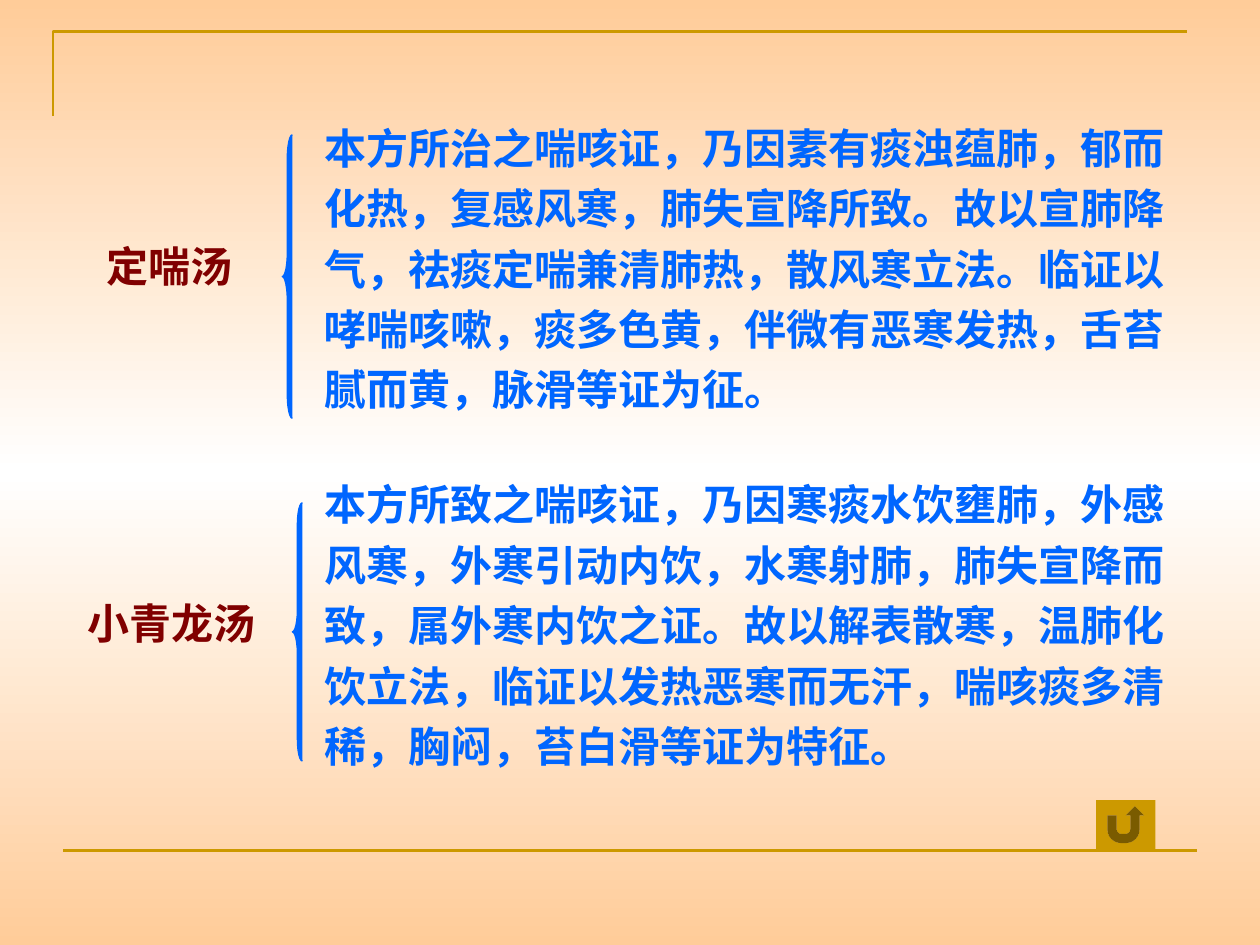
from lxml import etree
from pptx import Presentation
from pptx.dml.color import RGBColor
from pptx.enum.shapes import MSO_CONNECTOR as Connector, MSO_SHAPE as Preset
from pptx.enum.text import MSO_AUTO_SIZE as AutoSize
from pptx.oxml import parse_xml
from pptx.oxml.ns import nsdecls, qn
from pptx.util import Inches, Pt

COLORS = {"gold": "CC9900", "blue": "0066FF", "maroon": "800000",
          "peach": "FFCC99", "white": "FFFFFF"}
FONT = "Noto Sans CJK SC"
BODY_LEFT, BODY_WIDTH, BODY_HEIGHT = 2.48, 6.93, 2.5
BRACE_WIDTH = 0.08

FORMULAS = [
    {"name": "定喘汤", "label": (0.75, 1.86, 1.2, 0.5),
     "brace": (2.24, 1.07, 2.25), "body_top": 0.84,
     "body": "本方所治之喘咳证，乃因素有痰浊蕴肺，郁而化热，复感风寒，肺失宣降所致。"
             "故以宣肺降气，祛痰定喘兼清肺热，散风寒立法。"
             "临证以哮喘咳嗽，痰多色黄，伴微有恶寒发热，舌苔腻而黄，脉滑等证为征。"},
    {"name": "小青龙汤", "label": (0.6, 4.69, 1.53, 0.5),
     "brace": (2.32, 3.99, 2.05), "body_top": 3.67,
     "body": "本方所致之喘咳证，乃因寒痰水饮壅肺，外感风寒，外寒引动内饮，水寒射肺，"
             "肺失宣降而致，属外寒内饮之证。故以解表散寒，温肺化饮立法，"
             "临证以发热恶寒而无汗，喘咳痰多清稀，胸闷，苔白滑等证为特征。"},
]


def color(name):
    return RGBColor.from_string(COLORS[name])


def set_background(slide):
    stops = "".join(
        f'<a:gs pos="{position * 1000}"><a:srgbClr val="{COLORS[name]}"/></a:gs>'
        for position, name in [(0, "peach"), (50, "white"), (100, "peach")])
    slide.element.cSld.insert(0, parse_xml(
        f'<p:bg {nsdecls("p", "a")}><p:bgPr><a:gradFill rotWithShape="1">'
        f'<a:gsLst>{stops}</a:gsLst><a:lin ang="5400000" scaled="0"/>'
        '</a:gradFill><a:effectLst/></p:bgPr></p:bg>'))


def set_line(shape, name, width):
    shape.line.color.rgb = color(name)
    shape.line.width = Pt(width)


def add_frame(slide):
    builder = slide.shapes.build_freeform(Inches(0.42), Inches(0.92))
    builder.add_line_segments(
        [(Inches(0.42), Inches(0.25)), (Inches(9.42), Inches(0.25))], close=False)
    corner = builder.convert_to_shape()
    corner.shadow.inherit = False
    corner.fill.background()
    set_line(corner, "gold", 1.5)

    rule = slide.shapes.add_connector(
        Connector.STRAIGHT, Inches(0.5), Inches(6.75), Inches(9.5), Inches(6.75))
    etree.SubElement(rule.element.spPr, qn("a:effectLst"))
    set_line(rule, "gold", 1.5)


def add_preset(slide, preset, box, fill):
    shape = slide.shapes.add_shape(preset, *map(Inches, box))
    shape.shadow.inherit = False
    shape.fill.solid()
    shape.fill.fore_color.rgb = color(fill)
    shape.line.fill.background()
    return shape


def add_text(slide, box, text, name, wrap):
    frame = slide.shapes.add_textbox(*map(Inches, box)).text_frame
    frame.word_wrap = wrap
    frame.auto_size = AutoSize.SHAPE_TO_FIT_TEXT
    paragraph = frame.paragraphs[0]
    paragraph.text = text
    font = paragraph.font
    font.name, font.size, font.bold = FONT, Pt(24), True
    font.color.rgb = color(name)
    properties = paragraph._p.pPr.find(qn("a:defRPr"))
    etree.SubElement(properties, qn("a:ea")).set("typeface", FONT)
    return paragraph


def add_formula(slide, formula):
    left, top, height = formula["brace"]
    brace = add_preset(slide, Preset.LEFT_BRACE, (left, top, BRACE_WIDTH, height), "blue")
    brace.adjustments[0] = height / 12 / BRACE_WIDTH
    set_line(brace, "blue", 0.75)
    body_box = (BODY_LEFT, formula["body_top"], BODY_WIDTH, BODY_HEIGHT)
    body = add_text(slide, body_box, formula["body"], "blue", True)
    body.line_spacing = 1.2
    add_text(slide, formula["label"], formula["name"], "maroon", False)


def main():
    presentation = Presentation()
    presentation.slide_width, presentation.slide_height = Inches(10), Inches(7.5)
    slide = presentation.slides.add_slide(presentation.slide_layouts[6])
    set_background(slide)
    add_frame(slide)
    for formula in FORMULAS:
        add_formula(slide, formula)
    add_preset(slide, Preset.ACTION_BUTTON_RETURN, (8.7, 6.35, 0.47, 0.39), "gold")
    presentation.save("out.pptx")


if __name__ == "__main__":
    main()
